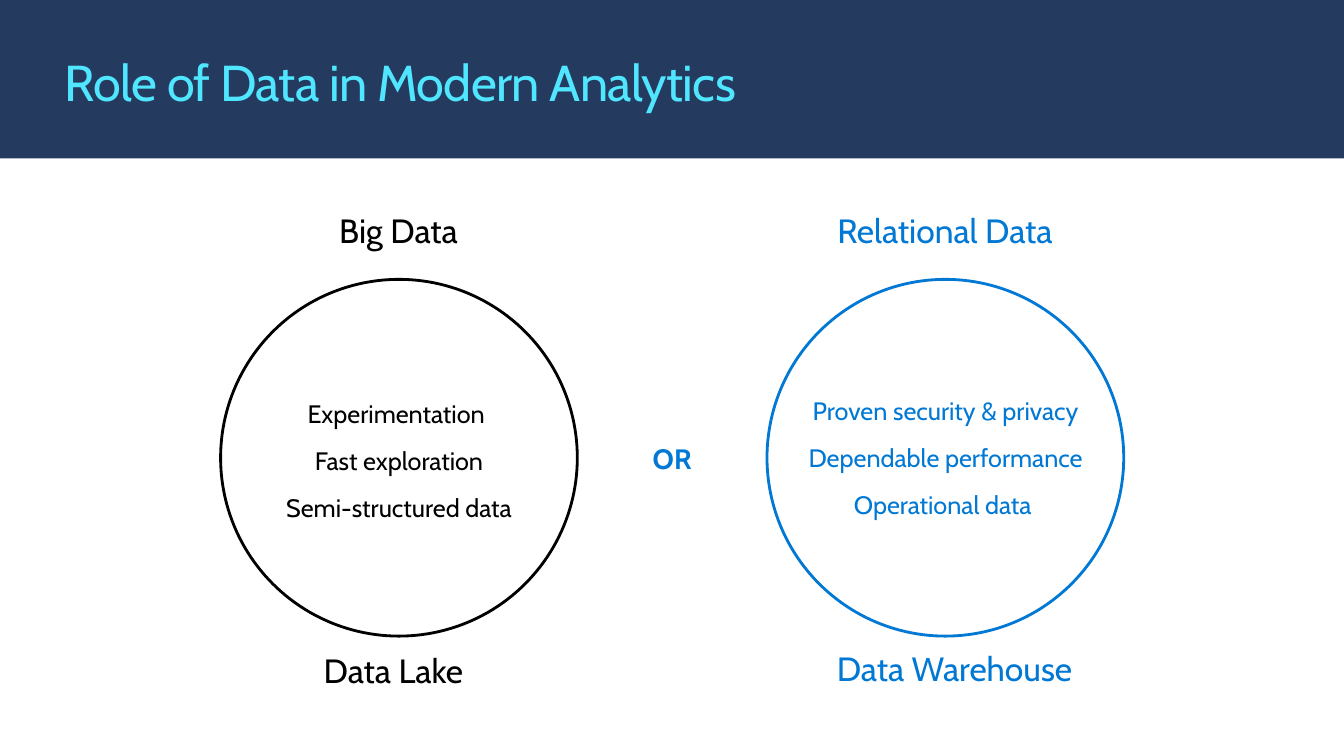
from dataclasses import dataclass

from lxml.etree import SubElement
from pptx import Presentation
from pptx.dml.color import RGBColor
from pptx.enum.shapes import MSO_SHAPE
from pptx.enum.text import MSO_ANCHOR, MSO_AUTO_SIZE, PP_ALIGN
from pptx.oxml.ns import qn
from pptx.util import Cm, Pt


@dataclass(frozen=True)
class Theme:
    font: str = "Cabin"
    navy: RGBColor = RGBColor(0x24, 0x3A, 0x5E)
    cyan: RGBColor = RGBColor(0x50, 0xE6, 0xFF)
    black: RGBColor = RGBColor(0x00, 0x00, 0x00)
    blue: RGBColor = RGBColor(0x00, 0x78, 0xD4)
    title_size: Pt = Pt(36)
    label_size: Pt = Pt(24)
    connective_size: Pt = Pt(20)
    list_size: Pt = Pt(18)


theme = Theme()


def write_text(shape, lines, size, color, margins=(0, 0), bold=False,
               anchor=MSO_ANCHOR.MIDDLE, **paragraph_format):
    """Fill a shape with one formatted paragraph per line; margins are (side, top) in cm."""
    side, top = (Cm(margin) for margin in margins)
    frame = shape.text_frame
    frame.text = "\n".join(lines)
    frame_format = {
        "word_wrap": True, "auto_size": MSO_AUTO_SIZE.NONE, "vertical_anchor": anchor,
        "margin_left": side, "margin_right": side, "margin_top": top, "margin_bottom": top,
    }
    for name, value in frame_format.items():
        setattr(frame, name, value)
    for paragraph in frame.paragraphs:
        for name, value in paragraph_format.items():
            setattr(paragraph, name, value)
        font = paragraph.runs[0].font
        for name, value in {"name": theme.font, "size": size, "bold": bold}.items():
            setattr(font, name, value)
        font.color.rgb = color


def place(shape, left, top, width, height):
    """Move and size a shape, in cm."""
    for name, value in {"left": left, "top": top, "width": width, "height": height}.items():
        setattr(shape, name, Cm(value))


presentation = Presentation()
presentation.slide_width = Cm(33.87)
presentation.slide_height = Cm(19.05)
slide = presentation.slides.add_slide(presentation.slide_layouts.get_by_name("Two Content"))
shapes = slide.shapes

# Title on its band
band = shapes.add_shape(MSO_SHAPE.RECTANGLE, 0, 0, presentation.slide_width, Cm(3.99))
band.shadow.inherit = False
band.fill.solid()
band.fill.fore_color.rgb = theme.navy
band.line.fill.background()
title = shapes.title
title.element.addprevious(band.element)
place(title, 1.63, 1.27, 30.61, 1.55)
write_text(title, ["Role of Data in Modern Analytics"], theme.title_size, theme.cyan,
           alignment=PP_ALIGN.LEFT)
title.text_frame.paragraphs[0].runs[0].font._element.set("spc", "-50")

# Two kinds of data: a circle with a list inside and a label above and below
circle_top, diameter = 7.04, 8.99
label_height, label_margins = 1.75, (0.51, 0.41)
kinds = [
    {
        "color": theme.black, "circle_left": 5.56, "list_box": (5.56, 9.53, 8.99, 4.14),
        "traits": ["Experimentation ", "Fast exploration", "Semi-structured data"],
        "labels": [("Big Data", 7.34, 5.0, 5.41), ("Data Lake", 7.21, 16.08, 5.41)],
    },
    {
        "color": theme.blue, "circle_left": 19.33, "list_box": (19.74, 9.45, 8.18, 4.14),
        "traits": ["Proven security & privacy", "Dependable performance", "Operational data "],
        "labels": [("Relational Data", 20.02, 5.0, 7.59), ("Data Warehouse", 20.22, 16.03, 7.67)],
    },
]
for index, kind in enumerate(kinds, start=1):
    circle = shapes.add_shape(MSO_SHAPE.OVAL, Cm(kind["circle_left"]), Cm(circle_top),
                              Cm(diameter), Cm(diameter))
    circle.shadow.inherit = False
    circle.fill.background()
    circle.line.color.rgb = kind["color"]
    circle.line.width = Pt(2)

    trait_list = slide.placeholders[index]
    place(trait_list, *kind["list_box"])
    write_text(trait_list, kind["traits"], theme.list_size, kind["color"],
               alignment=PP_ALIGN.CENTER, space_before=Pt(0), space_after=Pt(12))
    for paragraph in trait_list.text_frame.paragraphs:
        properties = paragraph._p.get_or_add_pPr()
        properties.set("marL", "0")
        properties.set("indent", "0")
        SubElement(properties, qn("a:buNone"))

    for text, left, top, width in kind["labels"]:
        label = shapes.add_textbox(Cm(left), Cm(top), Cm(width), Cm(label_height))
        write_text(label, [text], theme.label_size, kind["color"], label_margins,
                   anchor=MSO_ANCHOR.TOP, alignment=PP_ALIGN.CENTER, line_spacing=0.9)

connective = shapes.add_textbox(Cm(14.25), Cm(10.8), Cm(5.38), Cm(1.6))
write_text(connective, ["OR"], theme.connective_size, theme.blue, label_margins, bold=True,
           anchor=MSO_ANCHOR.TOP, alignment=PP_ALIGN.CENTER, line_spacing=0.9,
           space_after=Pt(6))

presentation.save("out.pptx")
